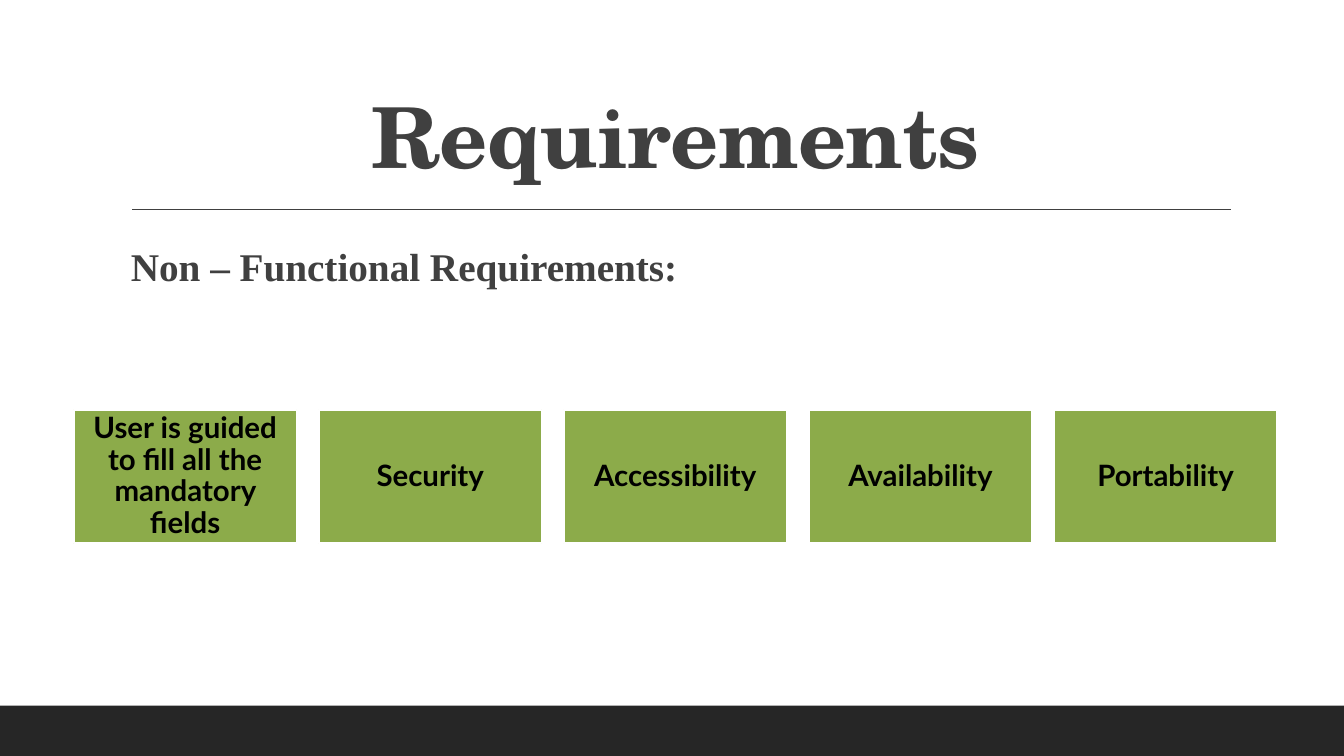
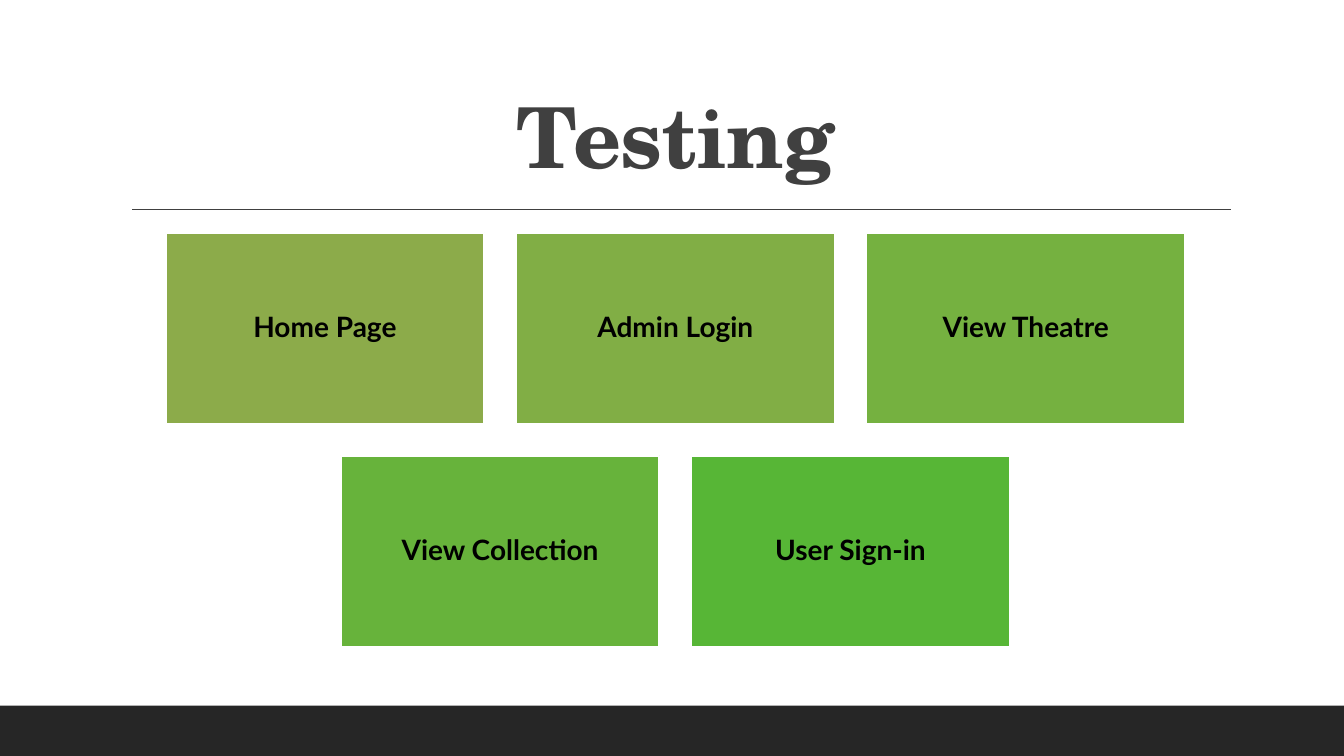
from pptx import Presentation
from pptx import util as u
from pptx.dml.color import RGBColor
from pptx.enum import shapes, text
from lxml import etree

COLORS = {
    "ink": "404040",
    "footer": "262626",
    "white": "FFFFFF",
    "black": "000000",
    "olive": "8CAB4A",
    "moss": "81AE45",
    "leaf": "75B140",
    "grass": "67B33B",
    "green": "57B636",
}
DRAWING = "http://schemas.openxmlformats.org/drawingml/2006/main"


class Deck:
    """Holds the style and the current slide; lengths are percent of the slide's size."""

    def __init__(self):
        self.presentation = Presentation()
        self.presentation.slide_width = u.Inches(13.33)
        self.presentation.slide_height = u.Inches(7.5)
        self.slide = None

    def x(self, share):
        return round(self.presentation.slide_width * share / 100)

    def y(self, share):
        return round(self.presentation.slide_height * share / 100)

    def color(self, name):
        return RGBColor.from_string(COLORS[name])

    def label(self, shape, wording, font, size, color, align, anchor, spacing):
        frame = shape.text_frame
        frame.text = wording
        frame.word_wrap = True
        frame.vertical_anchor = anchor
        paragraph = frame.paragraphs[0]
        paragraph.alignment = align
        paragraph.line_spacing = spacing
        run = paragraph.runs[0]
        run.font.name = font
        run.font.size = u.Pt(size)
        run.font.bold = True
        run.font.color.rgb = self.color(color)
        return run

    def rectangle(self, left, top, width, height, fill):
        shape = self.slide.shapes.add_shape(
            shapes.MSO_SHAPE.RECTANGLE, left, top, width, height)
        shape.shadow.inherit = False
        shape.fill.solid()
        shape.fill.fore_color.rgb = self.color(fill)
        shape.line.fill.background()
        return shape

    def rule(self, left, right, top):
        line = self.slide.shapes.add_connector(
            shapes.MSO_CONNECTOR.STRAIGHT,
            self.x(left), self.y(top), self.x(right), self.y(top))
        line.line.color.rgb = self.color("ink")
        line.line.width = u.Pt(1)
        etree.SubElement(line._element.spPr, f"{{{DRAWING}}}effectLst")

    def add_slide(self, title):
        self.slide = self.presentation.slides.add_slide(
            self.presentation.slide_layouts[6])
        self.rectangle(0, self.y(93.33), self.x(100), self.y(6.67), "footer")
        self.rule(9.83, 91.6, 27.73)
        box = self.slide.shapes.add_textbox(
            self.x(9), self.y(4.13), self.x(82.5), self.y(21.2))
        run = self.label(box, title, "TeX Gyre Schola", 60, "ink",
                         text.PP_ALIGN.CENTER, text.MSO_ANCHOR.BOTTOM, 0.9)
        run.font._element.set("spc", "-50")

    def heading(self, wording):
        box = self.slide.shapes.add_textbox(
            self.x(9), self.y(30.8), self.x(82.5), self.y(54.8))
        self.label(box, wording, "Times New Roman", 28, "ink",
                   text.PP_ALIGN.LEFT, text.MSO_ANCHOR.TOP, 1.1)

    def cards(self, rows, top, width, size):
        card_width = self.x(width)
        card_height = round(card_width * 0.6)
        gap = round(card_width * 0.1)
        for row, cards in enumerate(rows):
            row_width = len(cards) * (card_width + gap) - gap
            left = self.x(50.25) - row_width // 2
            for column, (wording, fill) in enumerate(cards):
                card = self.rectangle(
                    left + column * (card_width + gap),
                    self.y(top) + row * (card_height + gap),
                    card_width, card_height, fill)
                card.line.color.rgb = self.color("white")
                card.line.width = u.Pt(1.25)
                frame = card.text_frame
                frame.margin_left = frame.margin_right = u.Pt(6)
                frame.margin_top = frame.margin_bottom = u.Pt(6)
                self.label(card, wording, "Lato", size, "black",
                           text.PP_ALIGN.CENTER, text.MSO_ANCHOR.MIDDLE, 0.9)


def main():
    deck = Deck()

    deck.add_slide("Requirements")
    deck.heading("Non – Functional Requirements:")
    qualities = ["User is guided to fill all the mandatory fields", "Security",
                 "Accessibility", "Availability", "Portability"]
    deck.cards([[(quality, "olive") for quality in qualities]],
               top=54.2, width=16.58, size=21)

    deck.add_slide("Testing")
    deck.cards([
        [("Home Page", "olive"), ("Admin Login", "moss"), ("View Theatre", "leaf")],
        [("View Collection", "grass"), ("User Sign-in", "green")],
    ], top=30.8, width=23.7, size=20)

    deck.presentation.save("out.pptx")


if __name__ == "__main__":
    main()
